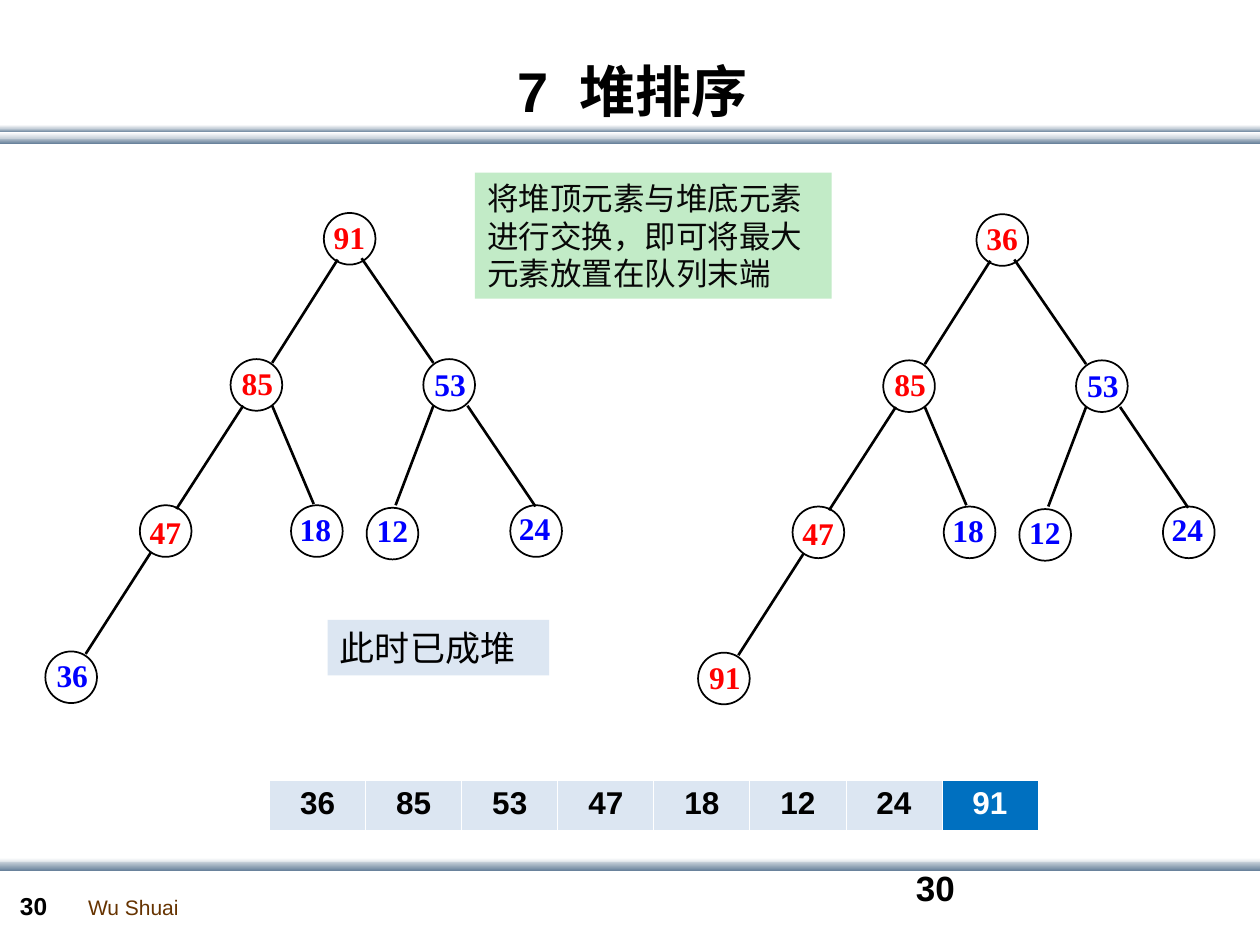
from lxml import etree
from pptx import Presentation
from pptx.dml.color import RGBColor
from pptx.enum import shapes, text
from pptx.oxml.ns import qn
from pptx.util import Inches, Pt

CJK = "Noto Sans CJK SC"
SERIF = "Times New Roman"
RED, BLUE, PALE = "FF0000", "0000FF", "DCE6F2"
LIGHT = ("FFFFFF", "C8D1DA")
DARK = ("C8D1DA", "6A839C")

BANDS = [
    (1.09, 0.05, DARK), (1.02, 0.03, DARK), (1.05, 0.05, LIGHT),
    (0.99, 0.03, LIGHT), (6.81, 0.05, LIGHT), (6.84, 0.07, DARK),
]
LABELS = [
    ("Wu Shuai", (0.6, 7.05, 0.92, 0.3), dict(size=12, color="663300", wrap=False)),
    ("30", (0.06, 7.02, 0.55, 0.34), dict(size=14, bold=True)),
    ("30", (7.17, 6.83, 2.33, 0.5), dict(size=20, bold=True)),
    ("7  堆排序", (0.22, 0.44, 9.6, 0.55),
     dict(size=32, bold=True, align="CENTER", anchor="MIDDLE")),
]
NOTES = [
    ("此时已成堆", (2.6, 4.92, 1.76, 0.44), PALE, dict(size=20, font=CJK)),
    ("将堆顶元素与堆底元素进行交换，即可将最大元素放置在队列末端",
     (3.77, 1.37, 2.83, 1), "C2EBC7", dict(size=18, font=CJK, color="080808")),
]

NODE = 0.41
NODES = [
    ((2.57, 1.69), (-0.02, -0.01), 0.47),
    ((1.83, 2.85), (-0.01, -0.01), 0.47),
    ((3.36, 2.85), (-0.01, 0), 0.47),
    ((1.11, 4.01), (-0.02, 0.01), 0.63),
    ((2.31, 4.01), (-0.03, -0.01), 0.48),
    ((2.91, 4.03), (-0.02, -0.02), 0.51),
    ((4.05, 4.01), (-0.03, -0.02), 0.66),
    ((0.36, 5.17), (-0.01, -0.01), 0.48),
]
EDGES = [
    (2.68, 2.06, 2.16, 2.88), (1.93, 3.22, 1.4, 4.04), (1.2, 4.38, 0.68, 5.19),
    (3.44, 2.88, 2.87, 2.05), (4.25, 4.02, 3.71, 3.22), (3.44, 3.22, 3.14, 4.01),
    (2.49, 4, 2.16, 3.22),
]
RED_VALUES = {
    "before": {"91", "85", "47"},
    "after": {"36", "85", "47", "91"},
}
TREES = [
    (["91", "85", "53", "47", "18", "12", "24", "36"], RED_VALUES["before"], 0, 0),
    (["36", "85", "53", "47", "18", "12", "24", "91"], RED_VALUES["after"], 5.18, 0.01),
]
QUEUE = TREES[1][0]
BORDERS = [("a:lnL", 0.45), ("a:lnR", 0.45), ("a:lnT", 0.45), ("a:lnB", 1.47)]


def rgb(value):
    return RGBColor.from_string(value)


def box(at):
    return [Inches(v) for v in at]


def write(tf, content, size=18, font="Arial", color="000000", bold=False,
          align="LEFT", anchor="TOP", wrap=True):
    tf.word_wrap = wrap
    tf.vertical_anchor = getattr(text.MSO_ANCHOR, anchor)
    p = tf.paragraphs[0]
    p.alignment = getattr(text.PP_ALIGN, align)
    r = p.add_run()
    r.text = content
    r.font.size, r.font.bold, r.font.name = Pt(size), bold, font
    r.font.color.rgb = rgb(color)
    ea = etree.SubElement(r.font._element, qn("a:ea"))
    ea.set("typeface", CJK)


def add_text(s, content, at, **fmt):
    write(s.shapes.add_textbox(*box(at)).text_frame, content, **fmt)


def add_plain(s, kind, at):
    sp = s.shapes.add_shape(kind, *box(at))
    sp.shadow.inherit = False
    sp.line.fill.background()
    return sp


def add_band(s, top, height, colors):
    sp = add_plain(s, shapes.MSO_SHAPE.RECTANGLE, (0, top, 10.01, height))
    sp.fill.gradient()
    sp.fill.gradient_angle = 270
    for stop, color in zip(sp.fill.gradient_stops, colors):
        stop.color.rgb = rgb(color)


def add_note(s, content, at, fill, fmt):
    sp = add_plain(s, shapes.MSO_SHAPE.RECTANGLE, at)
    sp.fill.solid()
    sp.fill.fore_color.rgb = rgb(fill)
    write(sp.text_frame, content, **fmt)


def add_edge(s, ends):
    c = s.shapes.add_connector(shapes.MSO_CONNECTOR.STRAIGHT, *box(ends))
    c.line.color.rgb = rgb("000000")
    c.line.width = Pt(1.5)
    etree.SubElement(c._element.spPr, qn("a:effectLst"))


def add_tree(s, values, reds, dx, dy):
    for value, ((x, y), (lx, ly), width) in zip(values, NODES):
        x, y = x + dx, y + dy
        sp = add_plain(s, shapes.MSO_SHAPE.OVAL, (x, y, NODE, NODE))
        sp.fill.background()
        sp.line.color.rgb = rgb("000000")
        sp.line.width = Pt(1)
        add_text(s, value, (x + lx, y + ly, width, 0.4), font=SERIF, bold=True,
                 color=RED if value in reds else BLUE)
    for x1, y1, x2, y2 in EDGES:
        add_edge(s, (x1 + dx, y1 + dy, x2 + dx, y2 + dy))


def add_border(cell, tag, width):
    tcPr = cell._tc.get_or_add_tcPr()
    ln = etree.SubElement(tcPr, qn(tag), w=str(int(Pt(width))))
    fill = etree.SubElement(ln, qn("a:solidFill"))
    etree.SubElement(fill, qn("a:srgbClr"), val="FFFFFF")


def add_queue(s):
    table = s.shapes.add_table(1, len(QUEUE), *box((2.14, 6.19, 6.1, 0.41))).table
    for i, value in enumerate(QUEUE):
        last = i == len(QUEUE) - 1
        cell = table.cell(0, i)
        for tag, width in BORDERS:
            add_border(cell, tag, width)
        cell.fill.solid()
        cell.fill.fore_color.rgb = rgb("0070C0" if last else PALE)
        write(cell.text_frame, value, bold=True, align="CENTER",
              color="FFFFFF" if last else "000000")


def main():
    prs = Presentation()
    prs.slide_width, prs.slide_height = Inches(10), Inches(7.5)
    s = prs.slides.add_slide(prs.slide_layouts[6])
    for band in BANDS:
        add_band(s, *band)
    for content, at, fmt in LABELS:
        add_text(s, content, at, **fmt)
    for tree in TREES:
        add_tree(s, *tree)
    for note in NOTES:
        add_note(s, *note)
    add_queue(s)
    prs.save("out.pptx")


if __name__ == "__main__":
    main()
